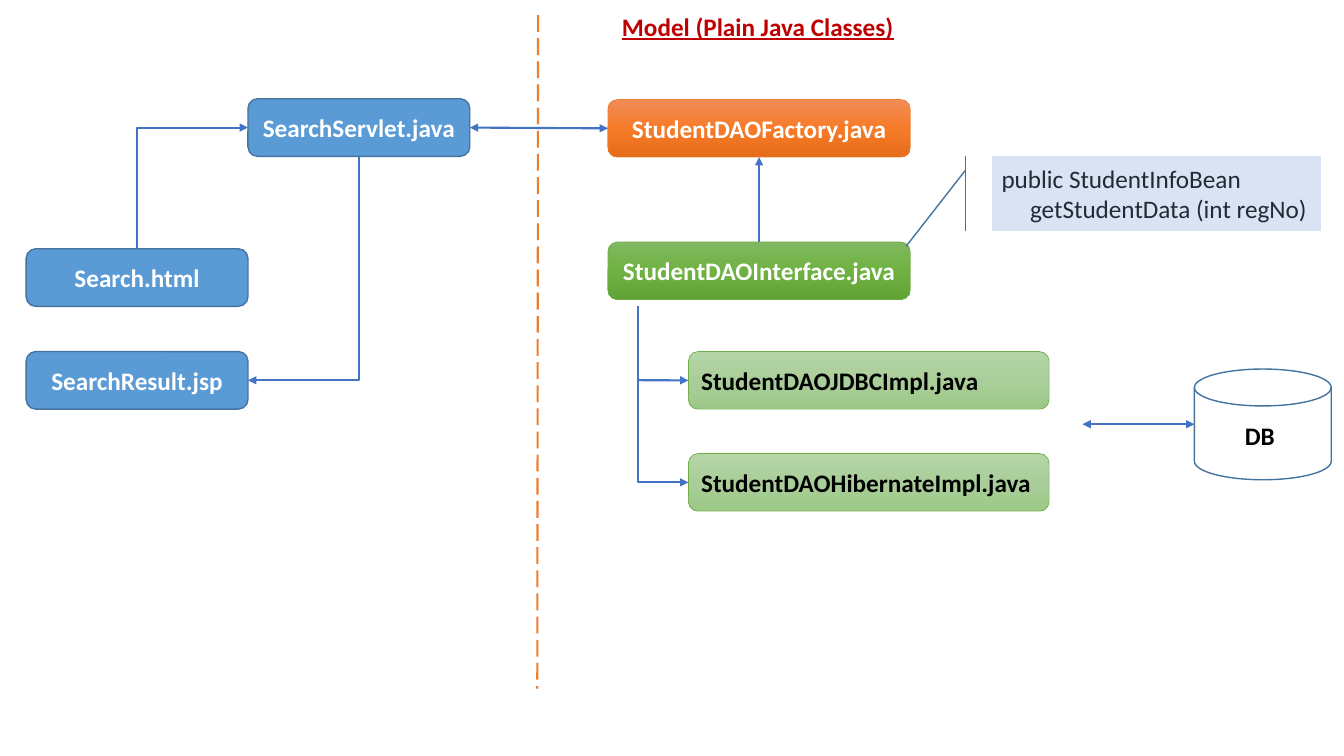
from lxml.etree import SubElement
from copy import deepcopy
from pptx import Presentation
from pptx.dml.color import RGBColor
from pptx.enum.dml import MSO_LINE
from pptx.enum.shapes import MSO_CONNECTOR, MSO_SHAPE
from pptx.enum.text import MSO_ANCHOR, PP_ALIGN
from pptx.oxml.ns import qn
from pptx.util import Cm, Pt

TOP, LEFT, BOTTOM, RIGHT = range(4)
LIGHT_GREEN = ("B5D5A7", "AACE9A", "9CC987")
GREEN = ("81B861", "6FB242", "62A336")
ORANGE = ("F18C57", "F67B28", "E56C19")


def color(value):
    return RGBColor.from_string(value)


class DiagramPage:
    font = "Calibri"
    size = 18
    edge = "43739E"
    arrow = "4472C4"
    box_height = 1.45

    def __init__(self, deck):
        self.page = deck.slides.add_slide(deck.slide_layouts[5])

    def fill_text(self, frame, text, ink, bold=True, align=PP_ALIGN.LEFT, anchor=MSO_ANCHOR.MIDDLE):
        frame.text = text
        frame.vertical_anchor = anchor
        for para in frame.paragraphs:
            para.alignment = align
            for span in para.runs:
                span.font.name = self.font
                span.font.size = Pt(self.size)
                span.font.bold = bold
                span.font.color.rgb = color(ink)

    def title(self, text, left, top, width, height, ink):
        heading = self.page.shapes.title
        heading.left, heading.top = Cm(left), Cm(top)
        heading.width, heading.height = Cm(width), Cm(height)
        self.fill_text(heading.text_frame, text, ink, anchor=MSO_ANCHOR.TOP)
        heading.text_frame.word_wrap = False
        heading.text_frame.paragraphs[0].runs[0].font.underline = True

    def shape(self, kind, left, top, width, height, fill=None, edge=edge, weight=1):
        item = self.page.shapes.add_shape(kind, Cm(left), Cm(top), Cm(width), Cm(height))
        item.shadow.inherit = False
        item.line.color.rgb = color(edge)
        item.line.width = Pt(weight)
        if fill is None:
            item.fill.background()
        elif isinstance(fill, tuple):
            self.gradient(item, fill)
        else:
            item.fill.solid()
            item.fill.fore_color.rgb = color(fill)
        return item

    def gradient(self, item, shades):
        item.fill.gradient()
        item.fill.gradient_angle = 270
        stops = item._element.spPr.find(qn("a:gradFill")).find(qn("a:gsLst"))
        stops.insert(1, deepcopy(stops[0]))
        for stop, position, shade in zip(item.fill.gradient_stops, (0, 0.5, 1), shades):
            stop.position = position
            stop.color.rgb = color(shade)

    def box(self, text, left, top, width, fill="5B9BD5", edge=edge, weight=1,
            ink="FFFFFF", align=PP_ALIGN.CENTER):
        item = self.shape(MSO_SHAPE.ROUNDED_RECTANGLE, left, top, width, self.box_height,
                          fill, edge, weight)
        self.fill_text(item.text_frame, text, ink, align=align)
        return item

    def label(self, text, left, top, width, height, ink):
        item = self.page.shapes.add_textbox(Cm(left), Cm(top), Cm(width), Cm(height))
        self.fill_text(item.text_frame, text, ink, anchor=MSO_ANCHOR.TOP)

    def callout(self, text, left, top, width, height, pointer):
        item = self.shape(MSO_SHAPE.LINE_CALLOUT_1_ACCENT_BAR, left, top, width, height, "DAE3F3")
        for index, value in enumerate(pointer):
            item.adjustments[index] = value
        self.fill_text(item.text_frame, text, "222A35", bold=False)
        item.text_frame.paragraphs[1]._p.get_or_add_pPr().set("marL", str(Cm(0.72)))

    def line(self, start, end, heads=(), ink=arrow, bent=False):
        """Each end is an (x, y) point in cm or a (shape, side) pair."""
        kind = MSO_CONNECTOR.ELBOW if bent else MSO_CONNECTOR.STRAIGHT
        points = [(0, 0) if hasattr(place, "text_frame") else (Cm(place), Cm(y))
                  for place, y in (start, end)]
        link = self.page.shapes.add_connector(kind, *points[0], *points[1])
        for (place, side), connect in ((start, link.begin_connect), (end, link.end_connect)):
            if hasattr(place, "text_frame"):
                connect(place, side)
        link.line.color.rgb = color(ink)
        link.line.width = Pt(1.5)
        properties = link._element.spPr
        if bent:
            properties.find(qn("a:prstGeom")).set("prst", "bentConnector2")
        for head in heads:
            SubElement(properties.find(qn("a:ln")), qn(head)).set("type", "triangle")
        SubElement(properties, qn("a:effectLst"))
        return link


def main():
    deck = Presentation()
    deck.slide_width, deck.slide_height = Cm(33.87), Cm(19.05)
    diagram = DiagramPage(deck)
    head, tail = "a:headEnd", "a:tailEnd"

    # Heading and divider
    diagram.title("Model (Plain Java Classes)", 15.42, 0.15, 7.42, 1.02, "C00000")
    divider = diagram.line((13.56, 0.38), (13.54, 17.35), ink="ED7D31")
    divider.line.dash_style = MSO_LINE.LONG_DASH

    # Web files
    search = diagram.box("Search.html", 0.66, 6.27, 5.59)
    servlet = diagram.box("SearchServlet.java", 6.25, 2.49, 5.59)
    result = diagram.box("SearchResult.jsp", 0.66, 8.86, 5.59)

    # Model classes
    factory = diagram.box("StudentDAOFactory.java", 15.32, 2.51, 7.62, ORANGE, "ED7D31", 0.5)
    interface = diagram.box("StudentDAOInterface.java", 15.32, 6.1, 7.62, GREEN, "70AD47", 0.5)
    jdbc, hibernate = [
        diagram.box(name, 17.35, top, 9.09, LIGHT_GREEN, "70AD47", 0.5, "000000", PP_ALIGN.LEFT)
        for name, top in (("StudentDAOJDBCImpl.java", 8.86),
                          ("StudentDAOHibernateImpl.java", 11.43))]
    diagram.callout("public StudentInfoBean\ngetStudentData (int regNo)",
                    24.99, 3.94, 8.31, 1.88, (0.19, -0.08, 1.21, -0.26))

    # Database
    diagram.shape(MSO_SHAPE.FLOWCHART_MAGNETIC_DISK, 30.1, 9.3, 3.45, 2.79)
    diagram.label("DB", 31.12, 10.46, 1.27, 1.02, "000000")

    # Bent arrows run from the arrowhead back to the source
    diagram.line((servlet, LEFT), (search, TOP), [head], bent=True)
    diagram.line((result, RIGHT), (servlet, BOTTOM), [head], bent=True)
    diagram.line((hibernate, LEFT), (16.08, 7.7), [head], bent=True)

    # Straight arrows
    diagram.line((16.08, 9.58), (jdbc, LEFT), [tail])
    diagram.line((interface, TOP), (factory, BOTTOM), [tail])
    diagram.line((servlet, RIGHT), (factory, LEFT), [head, tail])
    diagram.line((27.28, 10.69), (30.1, 10.69), [head, tail])

    deck.save("out.pptx")


if __name__ == "__main__":
    main()
